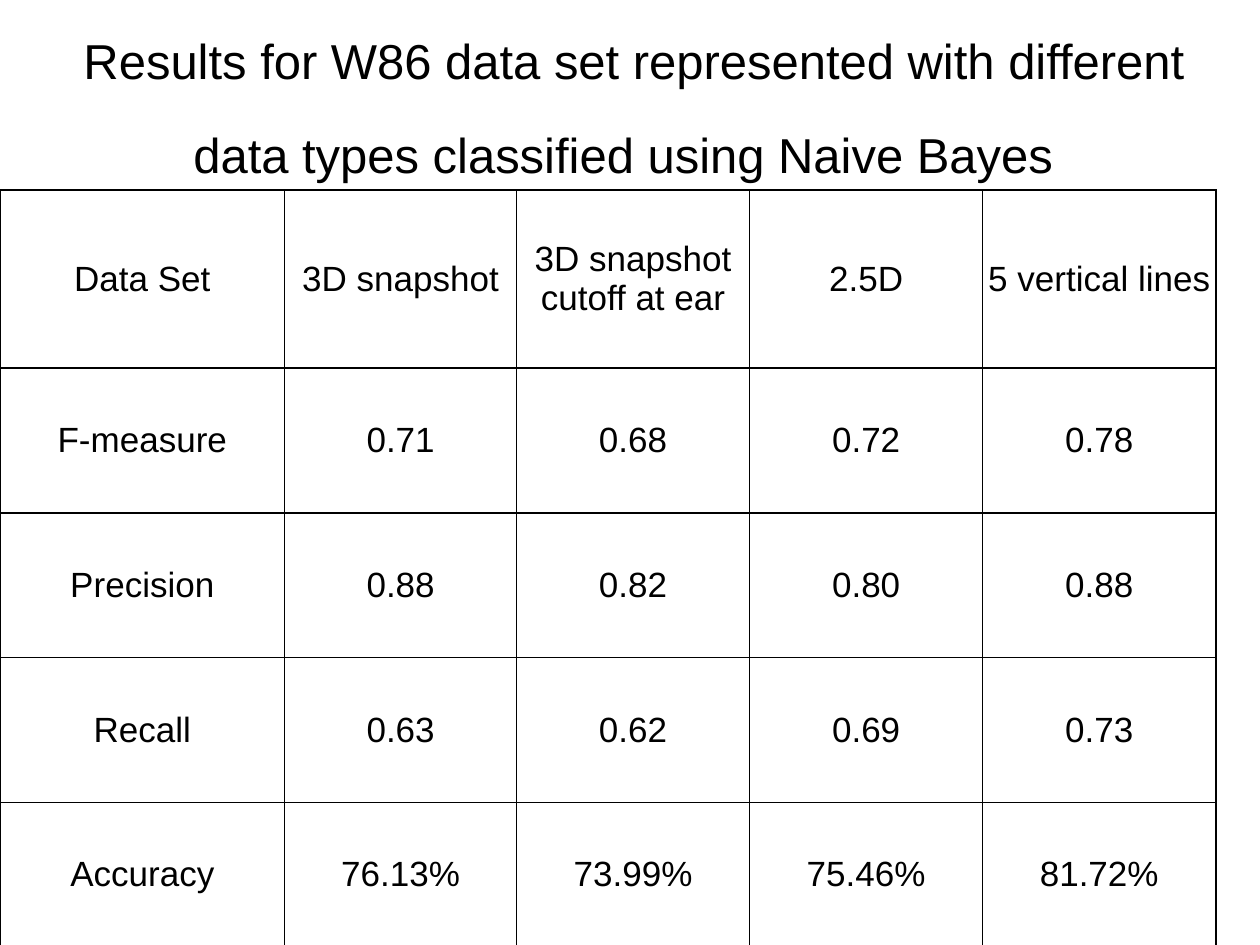
from dataclasses import dataclass
from typing import NamedTuple

from lxml.etree import SubElement
from pptx import Presentation
from pptx.dml.color import RGBColor
from pptx.enum.shapes import MSO_CONNECTOR
from pptx.enum.text import MSO_ANCHOR, MSO_AUTO_SIZE, PP_ALIGN
from pptx.oxml import parse_xml
from pptx.oxml.ns import nsdecls, qn
from pptx.util import Inches, Pt


@dataclass(frozen=True)
class Theme:
    font: str = "Arial"
    ink: str = "000000"
    rule: str = "9A9A9A"
    title_size: float = 28
    title_end_size: float = 44
    cell_size: float = 20
    border_width: float = 0.96
    rule_width: float = 0.75


class ResultRow(NamedTuple):
    height: float
    cells: tuple[str, ...]


THEME = Theme()
TABLE_TOP = 1.51
COLUMN_WIDTHS = (2.26, 1.84, 1.85, 1.85, 1.85)
RESULTS = (
    ResultRow(1.41, ("Data Set", "3D snapshot", "3D snapshot\ncutoff at ear", "2.5D", "5 vertical lines")),
    ResultRow(1.15, ("F-measure", "0.71", "0.68", "0.72", "0.78")),
    ResultRow(1.15, ("Precision", "0.88", "0.82", "0.80", "0.88")),
    ResultRow(1.15, ("Recall", "0.63", "0.62", "0.69", "0.73")),
    ResultRow(1.14, ("Accuracy", "76.13%", "73.99%", "75.46%", "81.72%")),
)


def add_run(paragraph, text: str, size: float) -> None:
    run = paragraph.add_run()
    run.text = text
    run.font.name = THEME.font
    run.font.size = Pt(size)
    run.font.color.rgb = RGBColor.from_string(THEME.ink)


def set_margins(target, left: float) -> None:
    target.margin_left = Inches(left)
    target.margin_right = Inches(0.04)
    target.margin_top = target.margin_bottom = Inches(0.05)


def add_rule(slide) -> None:
    top = Inches(TABLE_TOP)
    rule = slide.shapes.add_connector(MSO_CONNECTOR.STRAIGHT, Inches(0.5), top, Inches(9.5), top)
    rule.line.color.rgb = RGBColor.from_string(THEME.rule)
    rule.line.width = Pt(THEME.rule_width)
    SubElement(rule._element.spPr, qn("a:effectLst"))


def fill_title(slide) -> None:
    title = slide.shapes.title
    title.left, title.top = Inches(0.5), Inches(0.3)
    title.width, title.height = Inches(9), Inches(1.25)
    frame = title.text_frame
    frame.word_wrap = True
    frame.auto_size = MSO_AUTO_SIZE.NONE
    frame.vertical_anchor = MSO_ANCHOR.BOTTOM
    set_margins(frame, 0.1)
    paragraph = frame.paragraphs[0]
    paragraph.alignment = PP_ALIGN.CENTER
    paragraph.line_spacing = 1.08
    add_run(
        paragraph,
        "Results for W86 data set represented with different data types classified using Naive Bayes",
        THEME.title_size,
    )
    add_run(paragraph, " ", THEME.title_end_size)


def add_borders(cell) -> None:
    properties = cell._tc.get_or_add_tcPr()
    for position, side in enumerate(("lnL", "lnR", "lnT", "lnB")):
        border = parse_xml(
            f'<a:{side} {nsdecls("a")} w="{Pt(THEME.border_width)}">'
            f'<a:solidFill><a:srgbClr val="{THEME.ink}"/></a:solidFill></a:{side}>'
        )
        properties.insert(position, border)


def fill_cell(cell, text: str) -> None:
    cell.fill.background()
    cell.vertical_anchor = MSO_ANCHOR.MIDDLE
    set_margins(cell, 0.04)
    add_borders(cell)
    frame = cell.text_frame
    for index, line in enumerate(text.split("\n")):
        paragraph = frame.add_paragraph() if index else frame.paragraphs[0]
        paragraph.alignment = PP_ALIGN.CENTER
        add_run(paragraph, line, THEME.cell_size)


def add_results_table(slide) -> None:
    table = slide.shapes.add_table(
        len(RESULTS),
        len(COLUMN_WIDTHS),
        Inches(0),
        Inches(TABLE_TOP),
        Inches(sum(COLUMN_WIDTHS)),
        Inches(sum(result.height for result in RESULTS)),
    ).table
    table.first_row = False
    table.horz_banding = False
    for column, width in zip(table.columns, COLUMN_WIDTHS):
        column.width = Inches(width)
    for row, result in zip(table.rows, RESULTS):
        row.height = Inches(result.height)
        for cell, text in zip(row.cells, result.cells):
            fill_cell(cell, text)


def main() -> None:
    presentation = Presentation()
    presentation.slide_width, presentation.slide_height = Inches(10), Inches(7.5)
    slide = presentation.slides.add_slide(presentation.slide_layouts[5])
    add_rule(slide)
    fill_title(slide)
    add_results_table(slide)
    presentation.save("out.pptx")


if __name__ == "__main__":
    main()
